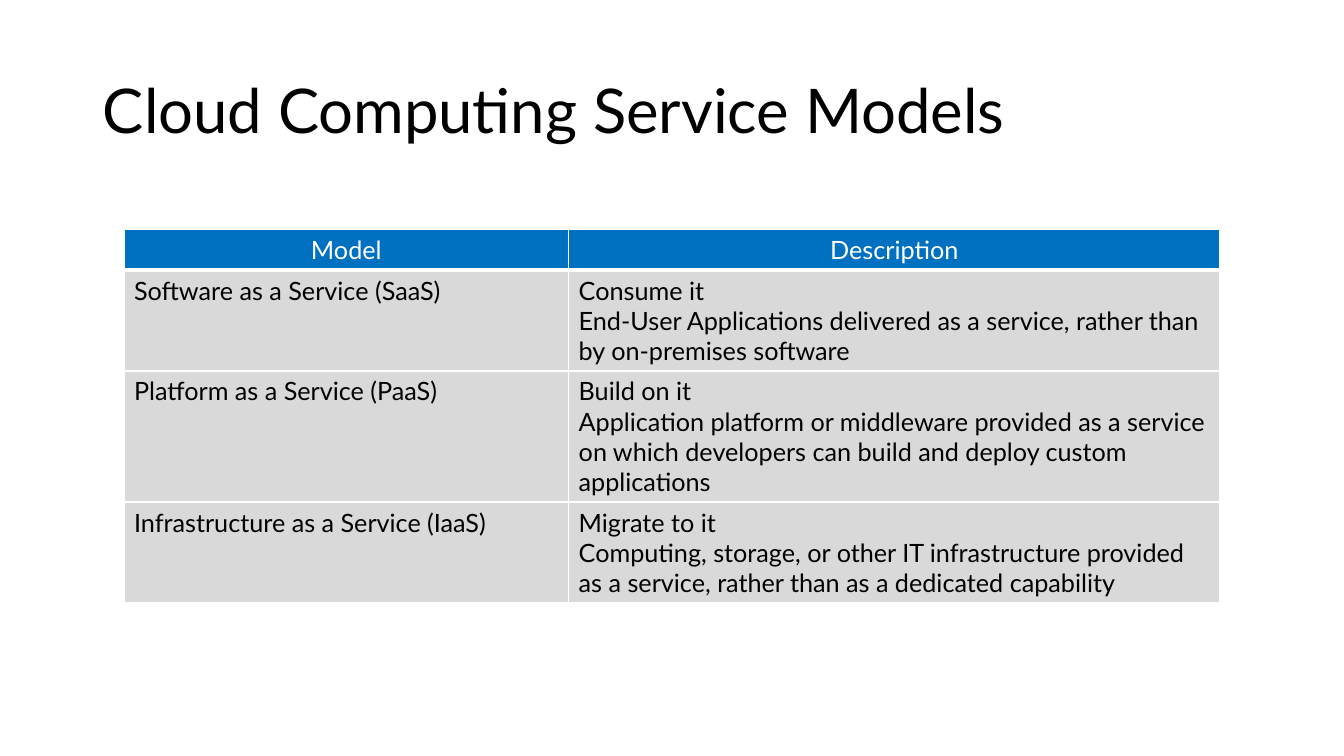
"""Build the slide on cloud computing service models."""
from lxml.etree import SubElement
from pptx import Presentation
from pptx.dml.color import RGBColor
from pptx.enum.text import MSO_ANCHOR, MSO_AUTO_SIZE, PP_ALIGN
from pptx.oxml.ns import qn
from pptx.util import Inches, Pt

TITLE = "Cloud Computing Service Models"
ROWS = [
    ("Model", "Description"),
    ("Software as a Service (SaaS)",
     "Consume it\nEnd-User Applications delivered as a service, "
     "rather than by on-premises software"),
    ("Platform as a Service (PaaS)",
     "Build on it\nApplication platform or middleware provided as a service "
     "on which developers can build and deploy custom applications"),
    ("Infrastructure as a Service (IaaS)",
     "Migrate to it\nComputing, storage, or other IT infrastructure provided "
     "as a service, rather than as a dedicated capability"),
]
COLUMN_WIDTHS = (4.41, 6.46)
ROW_HEIGHTS = (0.39, 1, 1.3, 1)
TABLE_LEFT, TABLE_TOP = 1.23, 2.28

FONT = "Lato"
BLACK = RGBColor(0, 0, 0)
WHITE = RGBColor(255, 255, 255)
BLUE = RGBColor(0x00, 0x70, 0xC0)
GREY = RGBColor(0xD9, 0xD9, 0xD9)


def format_text(text_frame, size, color, alignment):
    """Apply one font and alignment to every paragraph."""
    for paragraph in text_frame.paragraphs:
        paragraph.alignment = alignment
        for run in paragraph.runs:
            run.font.name = FONT
            run.font.size = Pt(size)
            run.font.bold = False
            run.font.color.rgb = color


def add_borders(cell, bottom_width):
    """Draw white lines on the four sides of a cell."""
    properties = cell._tc.get_or_add_tcPr()
    for side, width in (("L", 1), ("R", 1), ("T", 1), ("B", bottom_width)):
        line = SubElement(properties, qn(f"a:ln{side}"), w=str(Pt(width)))
        fill = SubElement(line, qn("a:solidFill"))
        SubElement(fill, qn("a:srgbClr"), val=str(WHITE))


def add_title(slide):
    """Place and format the title."""
    title = slide.shapes.title
    title.left, title.top = Inches(0.92), Inches(0.4)
    title.width, title.height = Inches(11.5), Inches(1.45)
    text_frame = title.text_frame
    text_frame.text = TITLE
    text_frame.auto_size = MSO_AUTO_SIZE.NONE
    text_frame.vertical_anchor = MSO_ANCHOR.MIDDLE
    text_frame.paragraphs[0].line_spacing = 0.9
    format_text(text_frame, 44, BLACK, PP_ALIGN.LEFT)


def add_models_table(slide):
    """Add the table of service models."""
    table = slide.shapes.add_table(
        len(ROWS), len(COLUMN_WIDTHS), Inches(TABLE_LEFT), Inches(TABLE_TOP),
        Inches(sum(COLUMN_WIDTHS)), Inches(sum(ROW_HEIGHTS))).table
    table.horz_banding = False
    for column, width in zip(table.columns, COLUMN_WIDTHS):
        column.width = Inches(width)
    for index, (row, height) in enumerate(zip(table.rows, ROW_HEIGHTS)):
        row.height = Inches(height)
        is_header = index == 0
        for cell, text in zip(row.cells, ROWS[index]):
            cell.text_frame.text = text
            format_text(cell.text_frame, 18, WHITE if is_header else BLACK,
                        PP_ALIGN.CENTER if is_header else PP_ALIGN.LEFT)
            add_borders(cell, 3 if is_header else 1)
            cell.fill.solid()
            cell.fill.fore_color.rgb = BLUE if is_header else GREY


def main():
    """Create and save the presentation."""
    presentation = Presentation()
    presentation.slide_width = Inches(13.33)
    presentation.slide_height = Inches(7.5)
    slide = presentation.slides.add_slide(presentation.slide_layouts[5])
    add_title(slide)
    add_models_table(slide)
    presentation.save("out.pptx")


if __name__ == "__main__":
    main()
